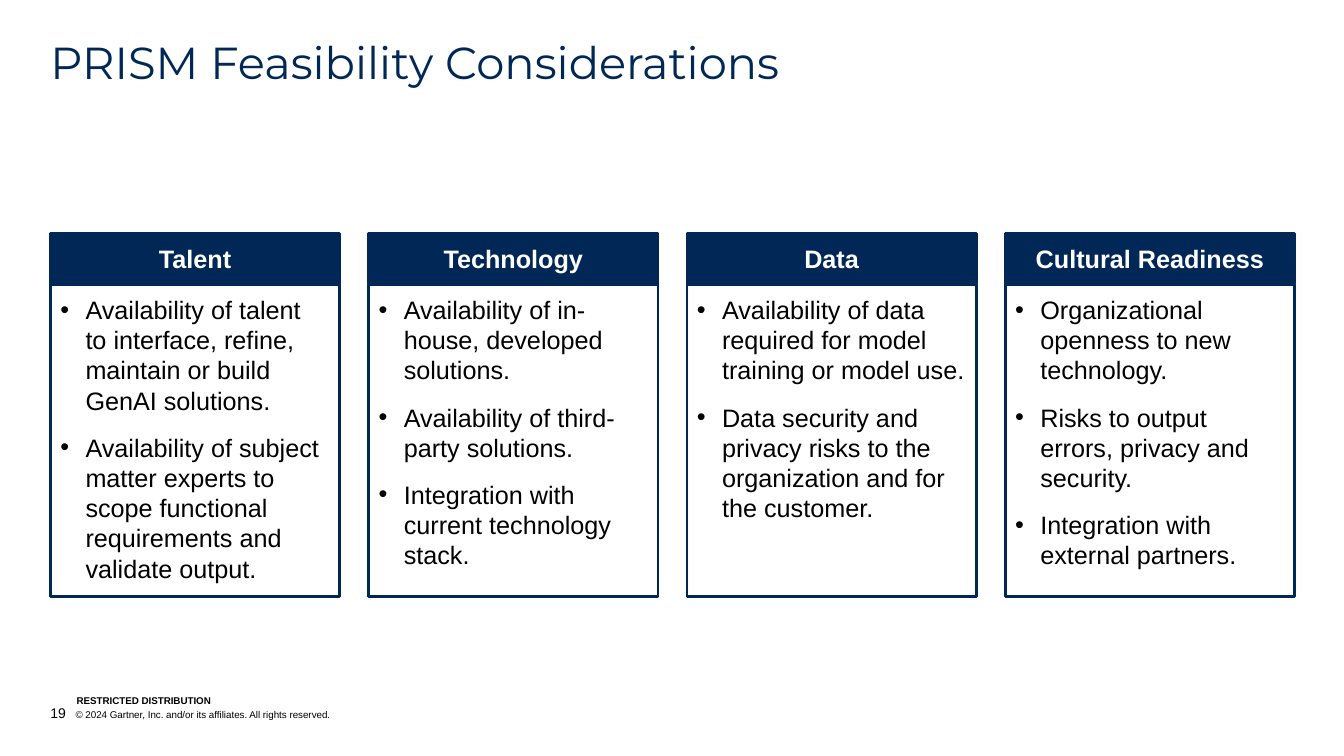
from dataclasses import dataclass

from lxml import etree
from pptx import Presentation
from pptx import util as u
from pptx.dml.color import RGBColor
from pptx.enum import shapes, text
from pptx.oxml import ns

PX = 9144  # EMU per px, 100 px to the inch


@dataclass(frozen=True)
class Theme:
    title_color: str = "002856"
    navy: str = "002756"
    black: str = "000000"
    white: str = "FFFFFF"
    title_font: str = "Montserrat"
    body_font: str = "Arial"
    title_size: int = 32
    body_size: int = 18
    number_size: int = 10
    legal_size: int = 7
    border: int = 2


THEME = Theme()

# Line breaks inside an item are written as new lines
COLUMNS = [
    ("Talent", [
        "Availability of talent \nto interface, refine, maintain or build \nGenAI solutions.",
        "Availability of subject matter experts to scope functional requirements and validate output.",
    ]),
    ("Technology", [
        "Availability of in-house, developed solutions.",
        "Availability of third-party solutions.",
        "Integration with current technology stack.",
    ]),
    ("Data", [
        "Availability of data required for model training or model use.",
        "Data security and privacy risks to the organization and for the customer.",
    ]),
    ("Cultural Readiness", [
        "Organizational openness to new technology.",
        "Risks to output errors, privacy and security.",
        "Integration with external partners.",
    ]),
]


def emu(*lengths):
    return [u.Emu(round(length * PX)) for length in lengths]


def apply(target, values):
    for name, value in values.items():
        setattr(target, name, value)


def format_frame(frame, margin, anchor):
    inset = u.Emu(margin * PX)
    apply(frame, {
        "margin_left": inset, "margin_top": inset,
        "margin_right": inset, "margin_bottom": inset,
        "word_wrap": True, "auto_size": text.MSO_AUTO_SIZE.NONE,
        "vertical_anchor": anchor,
    })


def add_run(paragraph, words, size, color=THEME.black, font=THEME.body_font, bold=False):
    run = paragraph.add_run()
    run.text = words
    apply(run.font, {"name": font, "size": u.Pt(size), "bold": bold})
    run.font.color.rgb = RGBColor.from_string(color)


def hang(paragraph, indent):
    properties = paragraph._p.get_or_add_pPr()
    properties.set("marL", str(indent * PX))
    properties.set("indent", str(-indent * PX))
    return properties


def add_bullet(paragraph):
    properties = hang(paragraph, 25)
    color = etree.SubElement(properties, ns.qn("a:buClr"))
    etree.SubElement(color, ns.qn("a:srgbClr"), val=THEME.black)
    etree.SubElement(properties, ns.qn("a:buFont"), typeface=THEME.body_font)
    etree.SubElement(properties, ns.qn("a:buChar"), char="•")


def add_panel(slide, box, anchor, fill=None):
    panel = slide.shapes.add_shape(shapes.MSO_SHAPE.RECTANGLE, *emu(*box))
    panel.shadow.inherit = False
    if fill:
        panel.fill.solid()
        panel.fill.fore_color.rgb = RGBColor.from_string(fill)
    else:
        panel.fill.background()
    panel.line.color.rgb = RGBColor.from_string(THEME.navy)
    panel.line.width = u.Pt(THEME.border)
    format_frame(panel.text_frame, 10, anchor)
    return panel.text_frame


def place_title(slide, box, words):
    title = slide.shapes.title
    apply(title, dict(zip(("left", "top", "width", "height"), emu(*box))))
    format_frame(title.text_frame, 0, text.MSO_ANCHOR.TOP)
    paragraph = title.text_frame.paragraphs[0]
    apply(paragraph, {"alignment": text.PP_ALIGN.LEFT, "line_spacing": 0.9})
    add_run(paragraph, words, THEME.title_size, THEME.title_color, THEME.title_font)


def add_column(slide, box, heading, items):
    left, top, width, height = box
    header_height = 50

    # Heading bar
    frame = add_panel(slide, (left, top, width, header_height - 1),
                      text.MSO_ANCHOR.MIDDLE, THEME.navy)
    frame.paragraphs[0].alignment = text.PP_ALIGN.CENTER
    add_run(frame.paragraphs[0], heading, THEME.body_size, THEME.white, bold=True)

    # Bulleted list
    frame = add_panel(slide, (left, top + header_height, width, height - header_height),
                      text.MSO_ANCHOR.TOP)
    for index, item in enumerate(items):
        paragraph = frame.add_paragraph() if index else frame.paragraphs[0]
        add_bullet(paragraph)
        paragraph.alignment = text.PP_ALIGN.LEFT
        if index:
            paragraph.space_before = u.Pt(12)
        for number, line in enumerate(item.split("\n")):
            if number:
                paragraph.add_line_break()
            add_run(paragraph, line, THEME.body_size)


def add_columns(slide, box):
    left, top, width, height = box
    column_width = 287
    step = (width - column_width) / (len(COLUMNS) - 1)
    for index, (heading, items) in enumerate(COLUMNS):
        add_column(slide, (left + index * step, top, column_width, height), heading, items)


def add_footer_line(slide, box):
    frame = slide.shapes.add_textbox(*emu(*box)).text_frame
    format_frame(frame, 0, text.MSO_ANCHOR.BOTTOM)
    return frame.paragraphs[0]


def add_footer(slide, box):
    left, top, width, height = box
    notice = add_footer_line(slide, (left + 26, top, 253, 12))
    add_run(notice, "RESTRICTED DISTRIBUTION", THEME.legal_size, bold=True)

    # Page number, then the copyright line after a tab
    legal = add_footer_line(slide, (left, top + height - 17, width, 17))
    hang(legal, 25)
    add_run(legal, "19", THEME.number_size)
    add_run(legal, "\t© 2024 Gartner, Inc. and/or its affiliates. All rights reserved.",
            THEME.legal_size)


def main():
    presentation = Presentation()
    presentation.slide_width, presentation.slide_height = emu(1333, 750)
    slide = presentation.slides.add_slide(presentation.slide_layouts[5])
    add_footer(slide, (50, 689, 799, 27))
    place_title(slide, (50, 40, 1233, 49), "PRISM Feasibility Considerations")
    add_columns(slide, (50, 232, 1234, 360))
    presentation.save("out.pptx")


if __name__ == "__main__":
    main()
